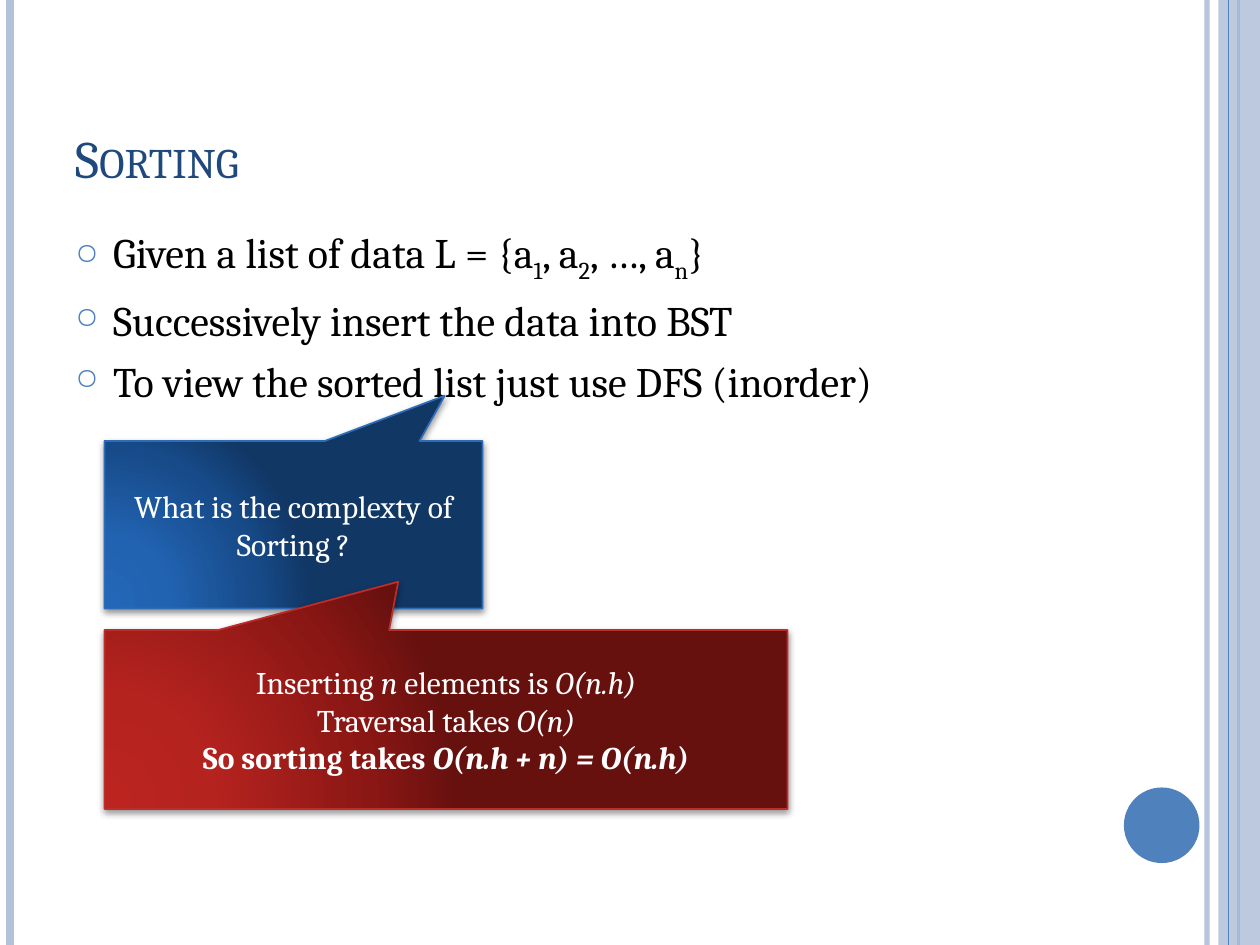
"""Build the Sorting slide on binary search tree complexity."""
from dataclasses import dataclass

import lxml.etree
import pptx
import pptx.dml.color
import pptx.enum.shapes
import pptx.enum.text
import pptx.oxml
import pptx.oxml.ns
import pptx.util

Inches = pptx.util.Inches
Pt = pptx.util.Pt
qn = pptx.oxml.ns.qn
NAMESPACE = 'xmlns:a="http://schemas.openxmlformats.org/drawingml/2006/main"'


@dataclass(frozen=True)
class Theme:
    """Colours, font and type sizes of the slide."""
    font: str = "Cambria"
    title: str = "1F497D"
    text: str = "000000"
    light: str = "FFFFFF"
    accent: str = "4F81BD"
    pale: str = "B3C1DB"
    question: tuple = ("2367B8", "2263B1", "164A88", "113765")
    question_edge: str = "2C6CB9"
    answer: tuple = ("BC2420", "B5231F", "8B1714", "67110F")
    answer_edge: str = "BD2D29"
    title_size: int = 30
    body_size: int = 24
    callout_size: int = 18


THEME = Theme()

BULLETS = [
    [("Given a list of data L = {a", ""), ("1", "sub"), (", a", ""), ("2", "sub"),
     (", …, a", ""), ("n", "sub"), ("}", "")],
    [("Successively insert the data into BST", "")],
    [("To view the sorted list just use DFS (inorder)", "")],
]
QUESTION = [[("What is the complexty of Sorting ?", "")]]
ANSWER = [
    [("Inserting ", ""), ("n", "i"), (" elements is ", ""), ("O(n.h)", "i"), ("\n", ""),
     ("Traversal takes ", ""), ("O(n)", "i")],
    [("So sorting takes ", "b"), ("O(n.h + n) = O(n.h)", "bi")],
]


def rgb(value):
    """Return a colour object for a hex value."""
    return pptx.dml.color.RGBColor.from_string(value)


def parse(markup):
    """Parse a DrawingML element whose root tag lacks its namespace."""
    head, rest = markup.split(" ", 1)
    return pptx.oxml.parse_xml(f"{head} {NAMESPACE} {rest}")


def set_alpha(element, percent):
    """Make the first RGB colour inside an element translucent."""
    colour = next(element.iter(qn("a:srgbClr")))
    lxml.etree.SubElement(colour, qn("a:alpha"), val=str(percent * 1000))


def style_font(font, size, colour):
    """Apply the theme font with a size and colour."""
    font.name = THEME.font
    font.size = Pt(size)
    font.color.rgb = rgb(colour)


def write_runs(paragraph, pieces, size, colour):
    """Write styled pieces of text into a paragraph."""
    for text, style in pieces:
        if text == "\n":
            paragraph.add_line_break()
            continue
        run = paragraph.add_run()
        run.text = text
        style_font(run.font, size, colour)
        if style == "sub":
            run.font._element.set("baseline", "-25000")
        else:
            run.font.bold = "b" in style
            run.font.italic = "i" in style


def write_paragraphs(frame, paragraphs, size, colour):
    """Fill a text frame with paragraphs and return them."""
    for index, pieces in enumerate(paragraphs):
        paragraph = frame.paragraphs[0] if index == 0 else frame.add_paragraph()
        write_runs(paragraph, pieces, size, colour)
    return frame.paragraphs


def add_rule(slide, x, colour, width, alpha=100):
    """Draw a full-height vertical rule."""
    rule = slide.shapes.add_connector(
        pptx.enum.shapes.MSO_CONNECTOR.STRAIGHT, Inches(x), 0, Inches(x), Inches(7.5))
    rule.line.color.rgb = rgb(colour)
    rule.line.width = Pt(width)
    properties = rule._element.spPr
    if alpha < 100:
        set_alpha(properties, alpha)
    lxml.etree.SubElement(properties, qn("a:effectLst"))


def add_plain_shape(slide, kind, box, colour):
    """Draw a flat shape without outline."""
    shape = slide.shapes.add_shape(kind, *map(Inches, box))
    shape.shadow.inherit = False
    shape.fill.solid()
    shape.fill.fore_color.rgb = rgb(colour)
    shape.line.fill.background()
    return shape


def add_frame(slide):
    """Draw the border rules, side band and corner disc."""
    kinds = pptx.enum.shapes.MSO_SHAPE
    add_rule(slide, 9.58, THEME.pale, 3, alpha=93)
    add_rule(slide, 0.08, THEME.pale, 4.5)
    add_rule(slide, 9.83, THEME.accent, 1.5)
    band = add_plain_shape(slide, kinds.RECTANGLE, (9.67, 0, 0.33, 7.5), THEME.pale)
    set_alpha(band._element.spPr, 87)
    add_rule(slide, 9.75, THEME.accent, 0.75)
    add_plain_shape(slide, kinds.OVAL, (8.92, 6.25, 0.6, 0.6), THEME.accent)


def set_title(slide, text):
    """Place and format the title."""
    title = slide.shapes.title
    title.left, title.top, title.width, title.height = map(Inches, (0.5, 0.3, 8.17, 1.25))
    frame = title.text_frame
    frame.text = text
    frame.auto_size = pptx.enum.text.MSO_AUTO_SIZE.NONE
    frame.vertical_anchor = pptx.enum.text.MSO_ANCHOR.BOTTOM
    paragraph = frame.paragraphs[0]
    paragraph.alignment = pptx.enum.text.PP_ALIGN.LEFT
    font = paragraph.runs[0].font
    style_font(font, THEME.title_size, THEME.title)
    font._element.set("cap", "small")


def add_bullets(slide, items):
    """Add the bulleted list."""
    box = slide.shapes.add_textbox(*map(Inches, (0.5, 1.75, 8.17, 5.33)))
    frame = box.text_frame
    frame.word_wrap = True
    paragraphs = write_paragraphs(frame, items, THEME.body_size, THEME.text)
    for index, paragraph in enumerate(paragraphs):
        if index:
            paragraph.space_before = Pt(6)
        properties = paragraph._p.get_or_add_pPr()
        properties.set("marL", str(Inches(0.3)))
        properties.set("indent", str(-Inches(0.3)))
        for markup in (f'<a:buClr ><a:srgbClr val="{THEME.accent}"/></a:buClr>',
                       '<a:buSzPct val="70000"/>', '<a:buChar char="○"/>'):
            properties.append(parse(markup))


def add_callout(slide, box, tip, stops, edge, paragraphs):
    """Add a callout with radial gradient, shadow and centred text."""
    callout = slide.shapes.add_shape(
        pptx.enum.shapes.MSO_SHAPE.RECTANGULAR_CALLOUT, *map(Inches, box))
    callout.adjustments[0], callout.adjustments[1] = tip
    callout.line.color.rgb = rgb(edge)
    callout.line.width = Pt(1)
    callout.fill.gradient()
    colours = "".join(f'<a:gs pos="{place * 1000}"><a:srgbClr val="{colour}"/></a:gs>'
                      for place, colour in zip((0, 30, 75, 100), stops))
    properties = callout._element.spPr
    properties.replace(properties.find(qn("a:gradFill")), parse(
        f'<a:gradFill rotWithShape="1"><a:gsLst>{colours}</a:gsLst><a:path path="circle">'
        '<a:fillToRect l="5000" t="100000" r="120000" b="10000"/></a:path></a:gradFill>'))
    callout.shadow.inherit = False
    properties.find(qn("a:effectLst")).append(parse(
        f'<a:outerShdw blurRad="{Pt(4)}" dist="{Pt(1.6)}" dir="5400000" rotWithShape="0">'
        '<a:srgbClr val="000000"><a:alpha val="42000"/></a:srgbClr></a:outerShdw>'))
    frame = callout.text_frame
    frame.word_wrap = True
    frame.vertical_anchor = pptx.enum.text.MSO_ANCHOR.MIDDLE
    for paragraph in write_paragraphs(frame, paragraphs, THEME.callout_size, THEME.light):
        paragraph.alignment = pptx.enum.text.PP_ALIGN.CENTER


def main():
    """Build and save the slide."""
    deck = pptx.Presentation()
    deck.slide_width, deck.slide_height = Inches(10), Inches(7.5)
    slide = deck.slides.add_slide(deck.slide_layouts[5])
    add_frame(slide)
    set_title(slide, "Sorting")
    add_bullets(slide, BULLETS)
    add_callout(slide, (0.83, 3.5, 3, 1.33), (0.4, -0.77),
                THEME.question, THEME.question_edge, QUESTION)
    add_callout(slide, (0.83, 5, 5.42, 1.42), (-0.07, -0.77),
                THEME.answer, THEME.answer_edge, ANSWER)
    deck.save("out.pptx")


if __name__ == "__main__":
    main()
